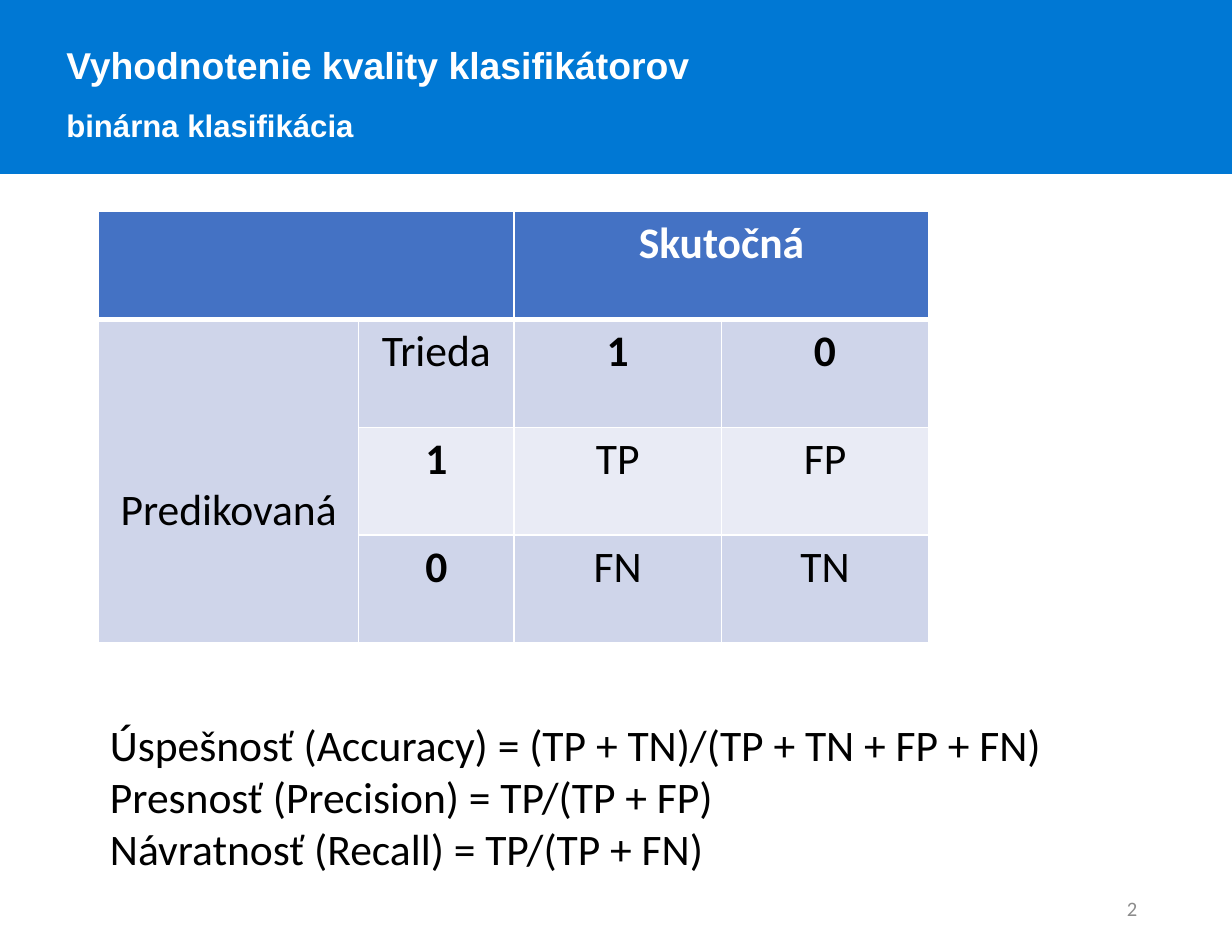
from lxml.etree import SubElement
from pptx import Presentation
from pptx.dml.color import RGBColor
from pptx.enum.shapes import MSO_SHAPE as Shape
from pptx.enum.text import MSO_ANCHOR as Anchor, MSO_AUTO_SIZE as AutoSize, PP_ALIGN as Align
from pptx.oxml.ns import qn
from pptx.util import Cm, Pt

BLUE, HEADER, DARK_ROW, LIGHT_ROW = "0078D4", "4472C4", "CFD5EA", "E9EBF5"
WHITE, BLACK, GREY = "FFFFFF", "000000", "8C8C8C"
color = RGBColor.from_string


def write(para, text, size=28, font="Calibri", fill=BLACK, bold=False,
          align=Align.LEFT, spacing=1.0):
    para.alignment = align
    para.line_spacing = spacing
    para.space_before = Pt(0)
    span = para.add_run()
    span.text = text
    span.font.size = Pt(size)
    span.font.name = font
    span.font.bold = bold
    span.font.color.rgb = color(fill)


def add_border(cell, side, width):
    line = SubElement(cell._tc.get_or_add_tcPr(), qn(f"a:ln{side}"), w=str(Pt(width)))
    fill = SubElement(line, qn("a:solidFill"))
    SubElement(fill, qn("a:srgbClr"), val=WHITE)


deck = Presentation()
deck.slide_width, deck.slide_height = Cm(27.94), Cm(21.59)
page = deck.slides.add_slide(deck.slide_layouts[1])
title, body = page.placeholders

# Blue band behind the title
band = page.shapes.add_shape(Shape.RECTANGLE, 0, 0, deck.slide_width, Cm(3.94))
band.shadow.inherit = False
band.fill.solid()
band.fill.fore_color.rgb = color(BLUE)
band.line.color.rgb = color(BLUE)
band.line.width = Pt(1)
page.shapes._spTree.insert(2, band._element)

# Title and subtitle
title.left, title.top, title.width, title.height = Cm(1.25), Cm(0.33), Cm(25.86), Cm(4.09)
frame = title.text_frame
frame.auto_size = AutoSize.NONE
frame.vertical_anchor = Anchor.TOP
for i, (text, size) in enumerate([("Vyhodnotenie kvality klasifikátorov", 24),
                                  ("binárna klasifikácia", 20)]):
    para = frame.add_paragraph() if i else frame.paragraphs[0]
    write(para, text, size=size, font="Arial", fill=WHITE, bold=True, spacing=1.5)

# Confusion matrix
rows = [
    ["", "", "Skutočná", ""],
    ["Predikovaná", "Trieda", "1", "0"],
    ["", "1", "TP", "FP"],
    ["", "0", "FN", "TN"],
]
table = page.shapes.add_table(4, 4, Cm(2.24), Cm(4.8), Cm(18.82), Cm(9.78)).table
for column, width in zip(table.columns, [5.89, 3.53, 4.7, 4.7]):
    column.width = Cm(width)
for r, texts in enumerate(rows):
    fill = HEADER if r == 0 else LIGHT_ROW if r == 2 else DARK_ROW
    for c, text in enumerate(texts):
        cell = table.cell(r, c)
        for side in "LRTB":
            thick = (r, side) in [(0, "B"), (1, "T")]
            add_border(cell, side, 3 if thick else 1)
        cell.fill.solid()
        cell.fill.fore_color.rgb = color(fill)
        if text:
            write(cell.text_frame.paragraphs[0], text, fill=WHITE if r == 0 else BLACK,
                  bold=text in ("Skutočná", "1", "0"), align=Align.CENTER)
table.cell(0, 0).merge(table.cell(0, 1))
table.cell(0, 2).merge(table.cell(0, 3))
table.cell(1, 0).merge(table.cell(3, 0))
table.cell(1, 0).margin_top = Cm(3.74)

# Formulas
body.left, body.top, body.width, body.height = Cm(2.24), Cm(16.15), Cm(21.89), Cm(3.84)
frame = body.text_frame
frame.auto_size = AutoSize.NONE
frame.word_wrap = False
for i, text in enumerate(["Úspešnosť (Accuracy) = (TP + TN)/(TP + TN + FP + FN)",
                          "Presnosť (Precision) = TP/(TP + FP)",
                          "Návratnosť (Recall) = TP/(TP + FN)"]):
    para = frame.add_paragraph() if i else frame.paragraphs[0]
    write(para, text)
    properties = para._p.get_or_add_pPr()
    properties.set("marL", "0")
    properties.set("indent", "0")
    SubElement(properties, qn("a:buNone"))

# Page number
number = page.shapes.add_textbox(Cm(19.74), Cm(20.02), Cm(6.3), Cm(1.14))
number.text_frame.word_wrap = True
number.text_frame.vertical_anchor = Anchor.MIDDLE
write(number.text_frame.paragraphs[0], "2", size=13.2, fill=GREY, align=Align.RIGHT)

deck.save("out.pptx")
